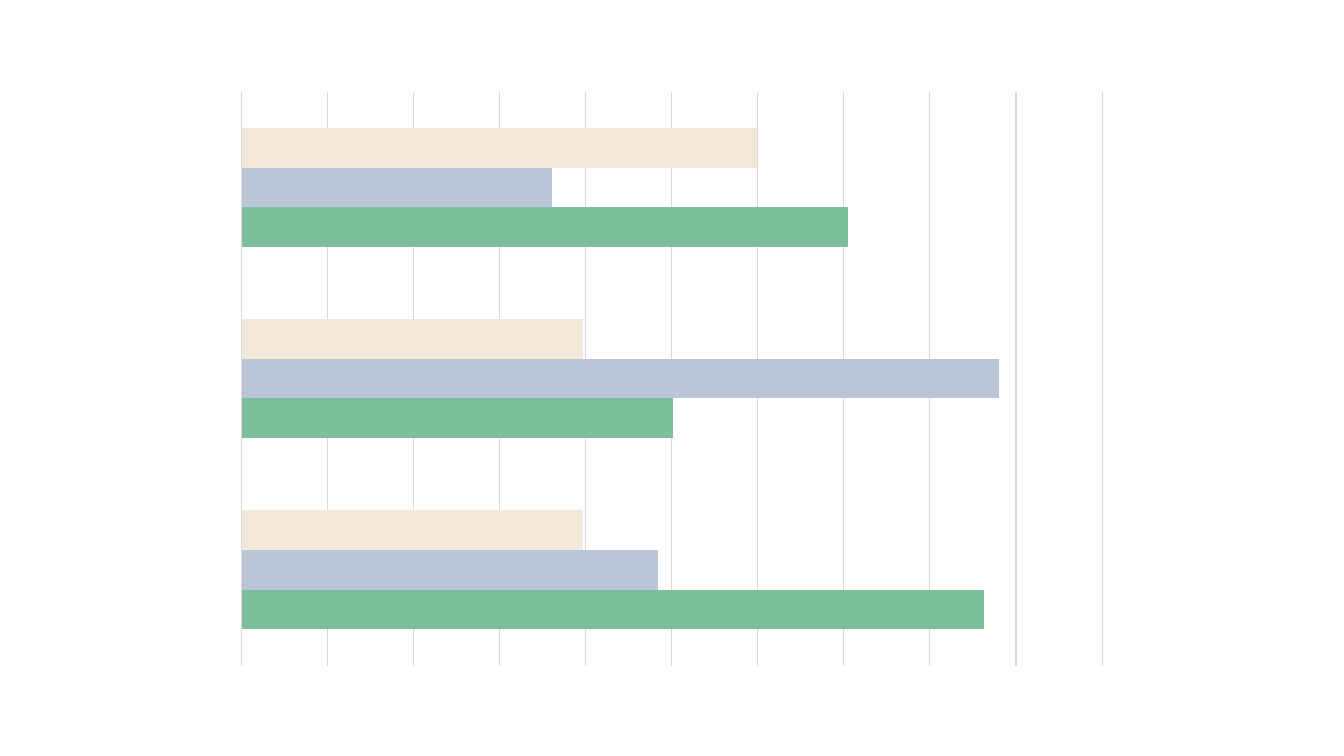
from pptx import Presentation
from pptx.chart.data import CategoryChartData
from pptx.dml.color import RGBColor
from pptx.enum.chart import XL_CHART_TYPE
from pptx.util import Pt

COLORS = {
    "Series 1": "7DBF9D",
    "Series 2": "BAC6D8",
    "Series 3": "F2E8DA",
    "grid": "D9D9D9",
    "text": "000000",
}
VALUES = {
    "Series 1": (98, 57, 80),
    "Series 2": (55, 100, 41),
    "Series 3": (45, 45, 68),
}
GRID_STEP = 11.36
GRID_COUNT = 10


def color(name):
    """Return the named colour from the palette."""
    return RGBColor.from_string(COLORS[name])


def add_bar_comparison(slide, left, top, width, height):
    """Fill the given box, in points, with the clustered bars and their grid."""
    data = CategoryChartData()
    data.categories = ["1", "2", "3"]
    for name, values in VALUES.items():
        data.add_series(name, values)
    comparison = slide.shapes.add_chart(
        XL_CHART_TYPE.BAR_CLUSTERED,
        Pt(left), Pt(top), Pt(width), Pt(height), data,
    ).chart
    comparison.has_legend = False
    comparison.has_title = False
    comparison.font.name = "Calibri"
    comparison.font.size = Pt(10)
    comparison.font.color.rgb = color("text")

    bars = comparison.plots[0]
    bars.gap_width = 182
    bars.overlap = 0
    bars.vary_by_categories = False
    for series in bars.series:
        series.invert_if_negative = False
        series.format.fill.solid()
        series.format.fill.fore_color.rgb = color(series.name)
        series.format.line.fill.background()

    comparison.category_axis.visible = False
    scale = comparison.value_axis
    scale.visible = False
    scale.minimum_scale = 0
    scale.maximum_scale = GRID_STEP * GRID_COUNT
    scale.major_unit = GRID_STEP
    scale.has_major_gridlines = True
    grid = scale.major_gridlines.format.line
    grid.color.rgb = color("grid")
    grid.width = Pt(0.75)


def main():
    """Build the one-slide deck and save it."""
    deck = Presentation()
    deck.slide_width, deck.slide_height = Pt(960), Pt(540)
    slide = deck.slides.add_slide(deck.slide_layouts[6])
    add_bar_comparison(slide, 160, 57, 640, 427)
    deck.save("out.pptx")


main()
